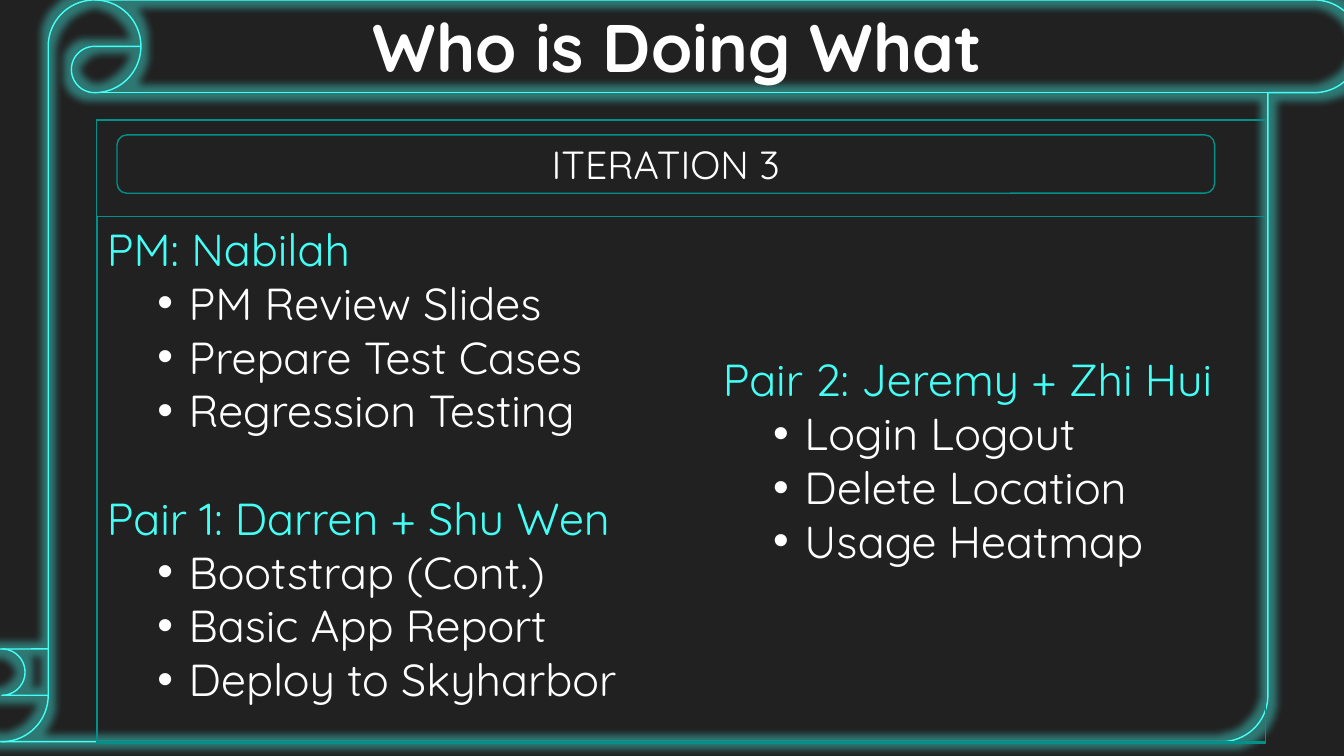
import dataclasses

import lxml.etree
import pptx
import pptx.dml.color
import pptx.enum.shapes
import pptx.enum.text
import pptx.oxml.ns
import pptx.util
from pptx.util import Cm

COLOURS = {"background": "212121", "neon": "44FFF5", "teal": "00928A", "text": "FFFFFF"}
FONT = "Quicksand"
LINE_GAP = 38.4  # height of one body line, in points
SHAPES = pptx.enum.shapes.MSO_SHAPE
ALIGN = pptx.enum.text.PP_ALIGN
ANCHOR = pptx.enum.text.MSO_ANCHOR


@dataclasses.dataclass(frozen=True)
class Box:
    left: float
    top: float
    width: float
    height: float


@dataclasses.dataclass(frozen=True)
class Frame:
    preset: int
    box: Box
    colour: str


@dataclasses.dataclass(frozen=True)
class Team:
    heading: str
    tasks: tuple[str, ...]


SCROLL = Frame(SHAPES.VERTICAL_SCROLL, Box(-1.12, 0, 35.41, 18.69), "neon")
PANEL = Frame(SHAPES.RECTANGLE, Box(2.44, 3.02, 29.46, 15.67), "teal")
BANNER = Frame(SHAPES.ROUNDED_RECTANGLE, Box(2.95, 3.4, 27.66, 1.47), "teal")
TITLE_BOX = Box(9.02, 0, 16.1, 2.31)
LEFT_BOX = Box(2.44, 5.46, 29.46, 13.26)
RIGHT_BOX = Box(17.96, 7.54, 15.42, 8.08)

LEFT_TEAMS = (
    Team("PM: Nabilah", ("PM Review Slides", "Prepare Test Cases", "Regression Testing")),
    Team("Pair 1: Darren + Shu Wen",
         ("Bootstrap (Cont.)", "Basic App Report", "Deploy to Skyharbor")),
)
RIGHT_TEAMS = (
    Team("Pair 2: Jeremy + Zhi Hui", ("Login Logout", "Delete Location", "Usage Heatmap")),
)


def rgb(name: str) -> pptx.dml.color.RGBColor:
    return pptx.dml.color.RGBColor.from_string(COLOURS[name])


def apply(target, values: dict) -> None:
    for attribute, value in values.items():
        setattr(target, attribute, value)


def place(shape, box: Box) -> None:
    apply(shape, {side: Cm(length) for side, length in dataclasses.asdict(box).items()})


def outline(shape, colour: str) -> None:
    shape.line.color.rgb = rgb(colour)
    shape.line.width = pptx.util.Pt(1)


def add_frame(slide, frame: Frame):
    box = frame.box
    shape = slide.shapes.add_shape(
        frame.preset, Cm(box.left), Cm(box.top), Cm(box.width), Cm(box.height))
    shape.shadow.inherit = False
    shape.fill.background()
    outline(shape, frame.colour)
    return shape


def add_glow(shape, colour: str, radius: int) -> None:
    tag = pptx.oxml.ns.qn
    effects = shape._element.spPr.find(tag("a:effectLst"))
    glow = lxml.etree.SubElement(effects, tag("a:glow"), rad=str(pptx.util.Pt(radius)))
    tint = lxml.etree.SubElement(glow, tag("a:srgbClr"), val=COLOURS[colour])
    lxml.etree.SubElement(tint, tag("a:alpha"), val="40000")


def write(paragraph, text: str, size: int, colour: str, bold: bool = False) -> None:
    run = paragraph.add_run()
    run.text = text
    apply(run.font, {"name": FONT, "size": pptx.util.Pt(size), "bold": bold})
    run.font.color.rgb = rgb(colour)


def set_bullet(paragraph, bulleted: bool) -> None:
    tag = pptx.oxml.ns.qn
    properties = paragraph._p.get_or_add_pPr()
    properties.set("marL", str(Cm(2.06) if bulleted else 0))
    properties.set("indent", str(Cm(-0.79) if bulleted else 0))
    if bulleted:
        lxml.etree.SubElement(properties, tag("a:buFont"), typeface="Arial")
        lxml.etree.SubElement(properties, tag("a:buChar"), char="•")
    else:
        lxml.etree.SubElement(properties, tag("a:buNone"))


def list_teams(body, box: Box, teams: tuple[Team, ...], anchor) -> None:
    place(body, box)
    frame = body.text_frame
    apply(frame, {"word_wrap": True, "vertical_anchor": anchor,
                  "auto_size": pptx.enum.text.MSO_AUTO_SIZE.NONE})
    lines = [(text, level, LINE_GAP if index and not level else 0)
             for index, team in enumerate(teams)
             for text, level in [(team.heading, 0), *((task, 1) for task in team.tasks)]]
    for number, (text, level, gap) in enumerate(lines):
        paragraph = frame.add_paragraph() if number else frame.paragraphs[0]
        apply(paragraph, {"level": level, "alignment": ALIGN.LEFT,
                          "space_before": pptx.util.Pt(gap)})
        set_bullet(paragraph, bulleted=level == 1)
        write(paragraph, text, 32, "text" if level else "neon")


def main() -> None:
    deck = pptx.Presentation()
    apply(deck, {"slide_width": Cm(33.87), "slide_height": Cm(19.05)})
    slide = deck.slides.add_slide(deck.slide_layouts.get_by_name("Two Content"))
    slide.background.fill.solid()
    slide.background.fill.fore_color.rgb = rgb("background")
    title, left_column, right_column = list(slide.placeholders)[:3]

    # Scroll and panel, behind the text
    scroll = add_frame(slide, SCROLL)
    add_glow(scroll, SCROLL.colour, 11)
    panel = add_frame(slide, PANEL)
    for position, backdrop in enumerate((scroll, panel), start=2):
        slide.shapes._spTree.insert(position, backdrop._element)

    # Title
    place(title, TITLE_BOX)
    apply(title.text_frame, {"word_wrap": False, "vertical_anchor": ANCHOR.TOP,
                             "auto_size": pptx.enum.text.MSO_AUTO_SIZE.NONE})
    heading = title.text_frame.paragraphs[0]
    heading.alignment = ALIGN.CENTER
    write(heading, "Who is Doing What", 48, "text", bold=True)

    # Iteration banner
    banner = add_frame(slide, BANNER)
    banner.text_frame.vertical_anchor = ANCHOR.MIDDLE
    iteration = banner.text_frame.paragraphs[0]
    iteration.alignment = ALIGN.CENTER
    write(iteration, "ITERATION 3", 28, "text")

    # Team columns
    list_teams(left_column, LEFT_BOX, LEFT_TEAMS, ANCHOR.TOP)
    outline(left_column, "teal")
    list_teams(right_column, RIGHT_BOX, RIGHT_TEAMS, ANCHOR.MIDDLE)

    deck.save("out.pptx")


if __name__ == "__main__":
    main()
